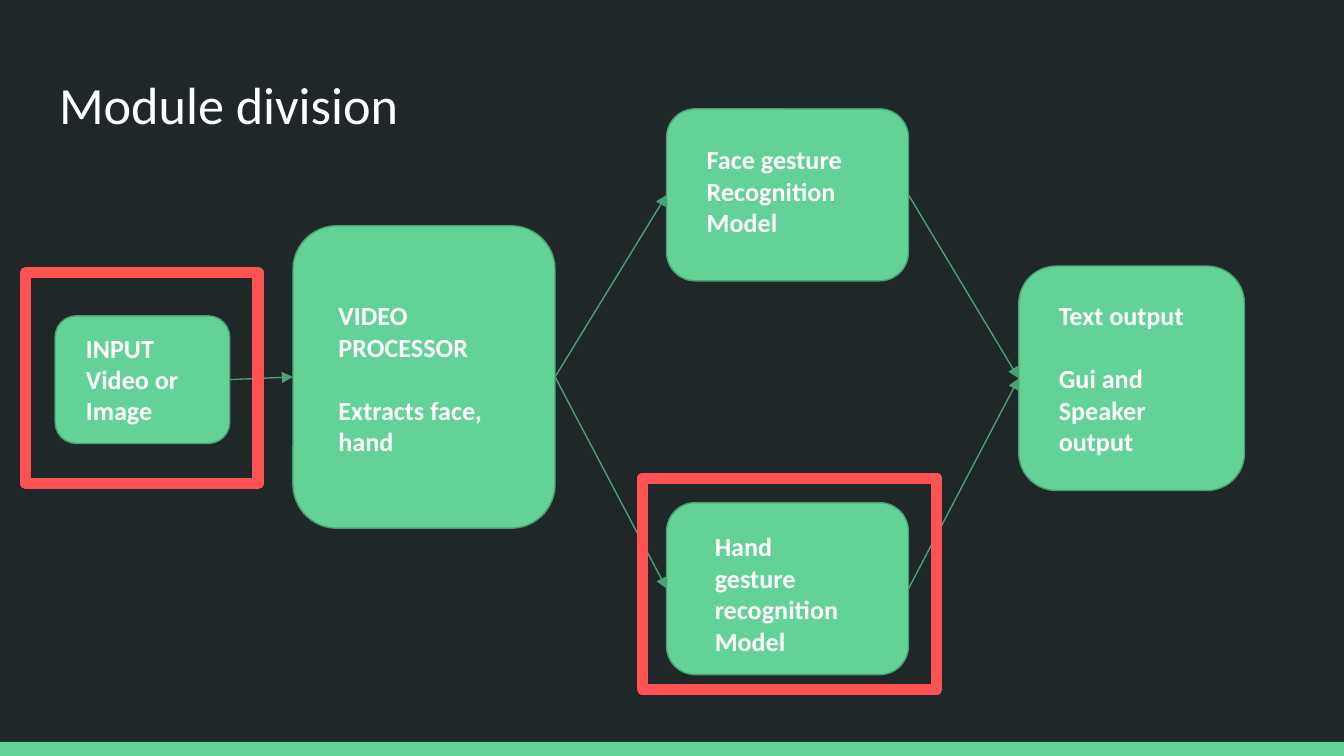
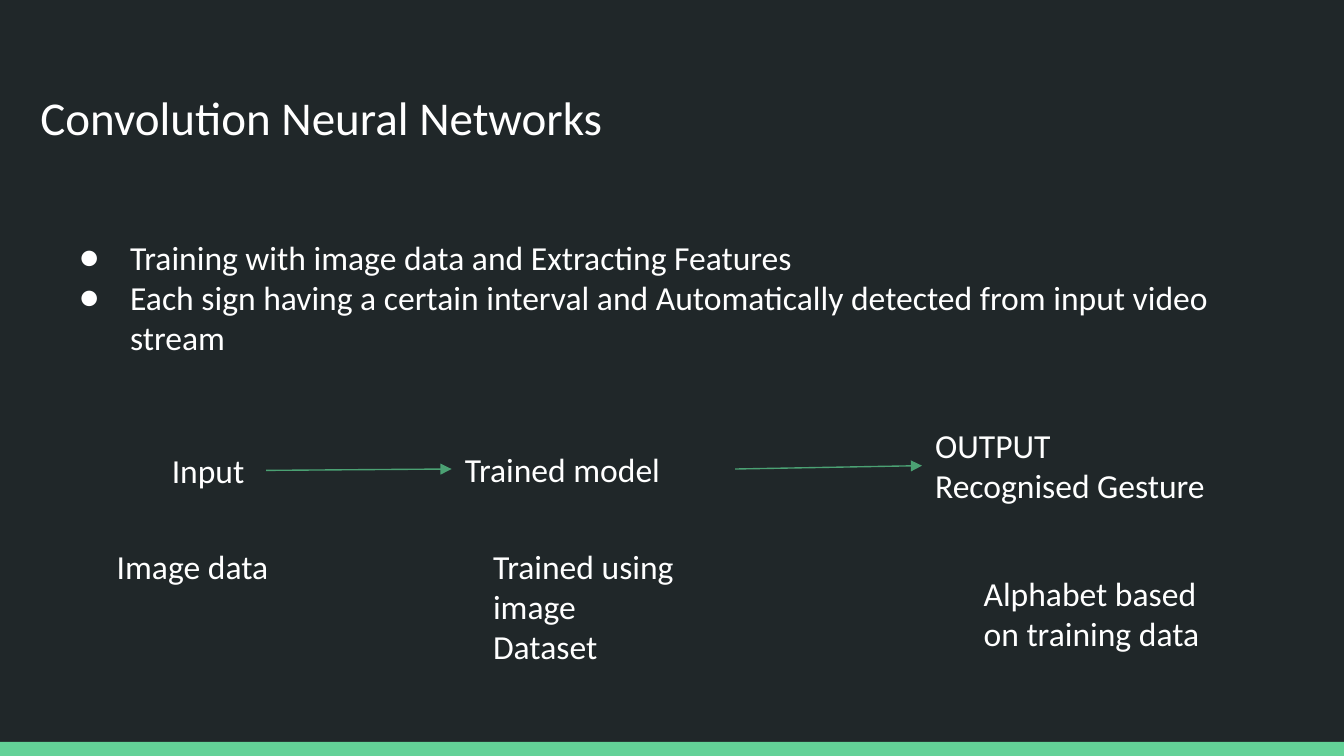
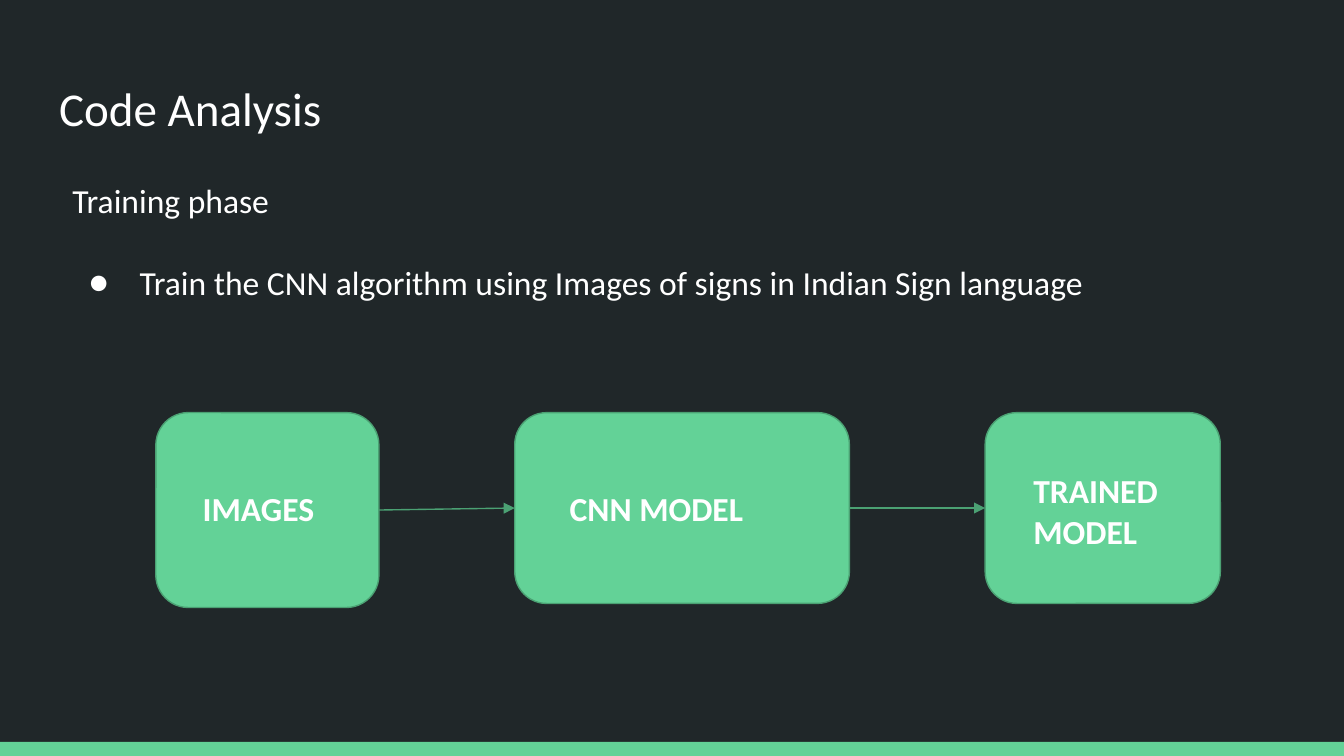
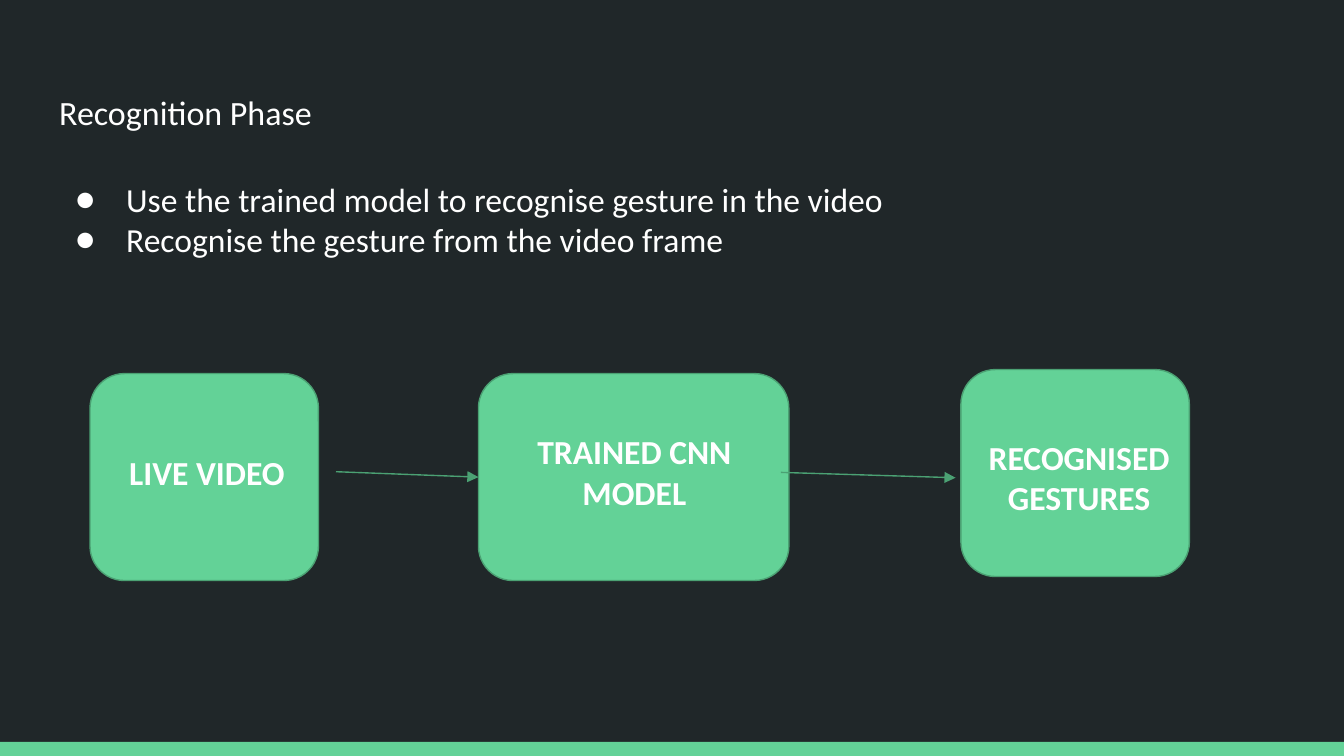
from dataclasses import dataclass, field

from lxml.etree import SubElement
from pptx import Presentation
from pptx.dml.color import RGBColor
from pptx.enum.shapes import MSO_CONNECTOR, MSO_SHAPE
from pptx.enum.text import MSO_ANCHOR, MSO_AUTO_SIZE, PP_ALIGN
from pptx.oxml.ns import qn
from pptx.shapes.autoshape import Shape
from pptx.slide import Slide
from pptx.text.text import TextFrame
from pptx.util import Emu, Pt

PX = 9144
SLIDE_WIDTH = 1000 * PX
SLIDE_HEIGHT = SLIDE_WIDTH * 9 // 16
FONT = "Calibri"
COLORS = {
    "background": "202729",
    "accent": "63D297",
    "outline": "4BA173",
    "highlight": "FF5252",
    "text": "FFFFFF",
}
INSET = Emu(10 * PX)
FRAME_FORMAT = {
    "margin_left": INSET,
    "margin_top": INSET,
    "margin_right": INSET,
    "margin_bottom": INSET,
    "word_wrap": True,
    "vertical_anchor": MSO_ANCHOR.TOP,
}
RIGHT_SITE, LEFT_SITE = 3, 1


@dataclass(frozen=True)
class Box:
    left: int
    top: int
    width: int
    height: int

    def emu(self) -> tuple[Emu, ...]:
        return tuple(Emu(value * PX) for value in (self.left, self.top, self.width, self.height))


@dataclass(frozen=True)
class Line:
    text: str
    bullet: bool = False
    gap: int = 0


@dataclass(frozen=True)
class Label:
    box: Box
    lines: list[Line]
    size: float = 18
    bold: bool = False
    align: PP_ALIGN = PP_ALIGN.LEFT
    spacing: float = 1.0


@dataclass(frozen=True)
class Page:
    title: Label
    labels: dict[str, Label]
    links: list[tuple[str, str]]
    steps: dict[str, Box] = field(default_factory=dict)
    highlights: list[Box] = field(default_factory=list)


TITLE_BOX = Box(34, 49, 932, 63)
BAND = Box(0, 552, 1000, 11)


def module(box: Box, *lines: Line) -> Label:
    return Label(box, list(lines), size=14, bold=True)


def note(box: Box, *lines: Line) -> Label:
    return Label(box, list(lines))


def stage(box: Box, text: str, align: PP_ALIGN = PP_ALIGN.LEFT) -> Label:
    return Label(box, [Line(text)], bold=True, align=align)


PAGES = [
    Page(
        title=Label(TITLE_BOX, [Line("Module division")], size=28, spacing=0.9),
        steps={
            "input": Box(41, 235, 130, 95),
            "processor": Box(218, 168, 195, 225),
            "face": Box(496, 81, 180, 128),
            "hand": Box(496, 374, 180, 128),
            "output": Box(758, 198, 168, 167),
        },
        labels={
            "input text": module(Box(54, 237, 98, 91), Line("INPUT"), Line("Video or"), Line("Image")),
            "processor text": module(
                Box(242, 213, 148, 138), Line("VIDEO PROCESSOR"), Line("Extracts face, hand", gap=17)
            ),
            "face text": module(Box(516, 97, 148, 91), Line("Face gesture"), Line("Recognition Model")),
            "hand text": module(Box(522, 385, 126, 114), Line("Hand gesture recognition Model")),
            "output text": module(
                Box(778, 213, 130, 138), Line("Text output"), Line("Gui and Speaker output", gap=17)
            ),
        },
        links=[
            ("input", "processor"),
            ("processor", "face"),
            ("processor", "hand"),
            ("face", "output"),
            ("hand", "output"),
        ],
        highlights=[Box(478, 356, 219, 157), Box(19, 203, 173, 157)],
    ),
    Page(
        title=Label(Box(20, 56, 834, 63), [Line("Convolution Neural Networks")], size=25.2),
        labels={
            "input": note(Box(118, 325, 80, 50), Line("Input")),
            "approach": note(
                Box(37, 166, 920, 111),
                Line("Training with image data and Extracting Features", bullet=True),
                Line(
                    "Each sign having a certain interval and Automatically detected from input video stream",
                    bullet=True,
                ),
            ),
            "model": note(Box(336, 324, 211, 50), Line("Trained model")),
            "output": note(Box(686, 306, 275, 81), Line("OUTPUT"), Line("Recognised Gesture")),
            "input detail": note(Box(77, 396, 162, 50), Line("Image data")),
            "model detail": note(Box(357, 396, 162, 111), Line("Trained using image Dataset")),
            "output detail": note(Box(722, 416, 202, 81), Line("Alphabet based on training data")),
        },
        links=[("input", "model"), ("model", "output")],
    ),
    Page(
        title=Label(TITLE_BOX, [Line("Code Analysis")], size=25.2),
        steps={
            "images": Box(116, 307, 166, 145),
            "cnn": Box(383, 307, 249, 142),
            "trained": Box(733, 307, 175, 142),
        },
        labels={
            "phase": note(
                Box(44, 124, 922, 111),
                Line("Training phase"),
                Line(
                    "Train the CNN algorithm using Images of signs in Indian Sign language",
                    bullet=True,
                    gap=22,
                ),
            ),
            "images text": stage(Box(141, 353, 114, 50), "IMAGES"),
            "cnn text": stage(Box(414, 353, 218, 50), "CNN MODEL"),
            "trained text": stage(Box(759, 340, 159, 81), "TRAINED MODEL"),
        },
        links=[("images", "cnn"), ("cnn", "trained")],
    ),
    Page(
        title=Label(Box(34, 58, 932, 54), [Line("Recognition Phase")], size=18.2),
        steps={
            "video": Box(67, 278, 170, 154),
            "cnn": Box(356, 278, 231, 154),
            "gestures": Box(715, 275, 170, 154),
        },
        labels={
            "phase": note(
                Box(34, 123, 932, 81),
                Line("Use the trained model to recognise gesture in the video", bullet=True),
                Line("Recognise the gesture from the video frame", bullet=True),
            ),
            "video text": stage(Box(58, 326, 192, 50), "LIVE VIDEO", PP_ALIGN.CENTER),
            "cnn text": stage(Box(363, 311, 218, 81), "TRAINED CNN MODEL", PP_ALIGN.CENTER),
            "gestures text": stage(Box(711, 315, 184, 81), "RECOGNISED GESTURES", PP_ALIGN.CENTER),
        },
        links=[("video text", "cnn"), ("cnn text", "gestures text")],
    ),
]


def color(name: str) -> RGBColor:
    return RGBColor.from_string(COLORS[name])


def apply_format(target: object, values: dict[str, object]) -> None:
    for name, value in values.items():
        setattr(target, name, value)


def add_bullet(properties) -> None:
    properties.set("marL", str(50 * PX))
    properties.set("indent", str(-38 * PX))
    bullet_color = SubElement(properties, qn("a:buClr"))
    SubElement(bullet_color, qn("a:srgbClr"), val=COLORS["text"])
    SubElement(properties, qn("a:buFont"), typeface=FONT)
    SubElement(properties, qn("a:buChar"), char="●")


def write_label(text_frame: TextFrame, label: Label) -> None:
    apply_format(text_frame, FRAME_FORMAT)
    for index, line in enumerate(label.lines):
        paragraph = text_frame.add_paragraph() if index else text_frame.paragraphs[0]
        apply_format(
            paragraph,
            {
                "alignment": label.align,
                "line_spacing": label.spacing,
                "space_before": Pt(line.gap),
                "space_after": Pt(0),
            },
        )
        if line.bullet:
            add_bullet(paragraph._p.get_or_add_pPr())
        run = paragraph.add_run()
        run.text = line.text
        apply_format(run.font, {"name": FONT, "size": Pt(label.size), "bold": label.bold})
        run.font.color.rgb = color("text")


def add_title(slide: Slide, label: Label) -> None:
    title = slide.shapes.title
    apply_format(title, dict(zip(("left", "top", "width", "height"), label.box.emu())))
    write_label(title.text_frame, label)
    title.text_frame.auto_size = MSO_AUTO_SIZE.NONE


def add_label(slide: Slide, label: Label) -> Shape:
    shape = slide.shapes.add_textbox(*label.box.emu())
    write_label(shape.text_frame, label)
    shape.text_frame.auto_size = MSO_AUTO_SIZE.SHAPE_TO_FIT_TEXT
    return shape


def add_block(
    slide: Slide, kind: MSO_SHAPE, box: Box, fill: str = "", line: str = "", weight: float = 0.75
) -> Shape:
    shape = slide.shapes.add_shape(kind, *box.emu())
    shape.shadow.inherit = False
    if fill:
        shape.fill.solid()
        shape.fill.fore_color.rgb = color(fill)
    else:
        shape.fill.background()
    if line:
        shape.line.color.rgb = color(line)
        shape.line.width = Pt(weight)
    else:
        shape.line.fill.background()
    return shape


def add_link(slide: Slide, source: Shape, target: Shape) -> None:
    connector = slide.shapes.add_connector(
        MSO_CONNECTOR.STRAIGHT,
        source.left + source.width,
        source.top + source.height // 2,
        target.left,
        target.top + target.height // 2,
    )
    connector.begin_connect(source, RIGHT_SITE)
    connector.end_connect(target, LEFT_SITE)
    connector.line.color.rgb = color("outline")
    connector.line.width = Pt(0.75)
    SubElement(connector.line._get_or_add_ln(), qn("a:tailEnd"), type="triangle")
    SubElement(connector._element.spPr, qn("a:effectLst"))


def build_page(presentation: Presentation, page: Page) -> None:
    slide = presentation.slides.add_slide(presentation.slide_layouts[5])
    add_block(slide, MSO_SHAPE.RECTANGLE, BAND, fill="accent")
    add_title(slide, page.title)
    shapes = {
        name: add_block(slide, MSO_SHAPE.ROUNDED_RECTANGLE, box, "accent", "outline")
        for name, box in page.steps.items()
    }
    shapes |= {name: add_label(slide, label) for name, label in page.labels.items()}
    for source, target in page.links:
        add_link(slide, shapes[source], shapes[target])
    for box in page.highlights:
        add_block(slide, MSO_SHAPE.RECTANGLE, box, line="highlight", weight=6)


def main() -> None:
    presentation = Presentation()
    presentation.slide_width = Emu(SLIDE_WIDTH)
    presentation.slide_height = Emu(SLIDE_HEIGHT)
    background = presentation.slide_master.background.fill
    background.solid()
    background.fore_color.rgb = color("background")
    for page in PAGES:
        build_page(presentation, page)
    presentation.save("out.pptx")


if __name__ == "__main__":
    main()
